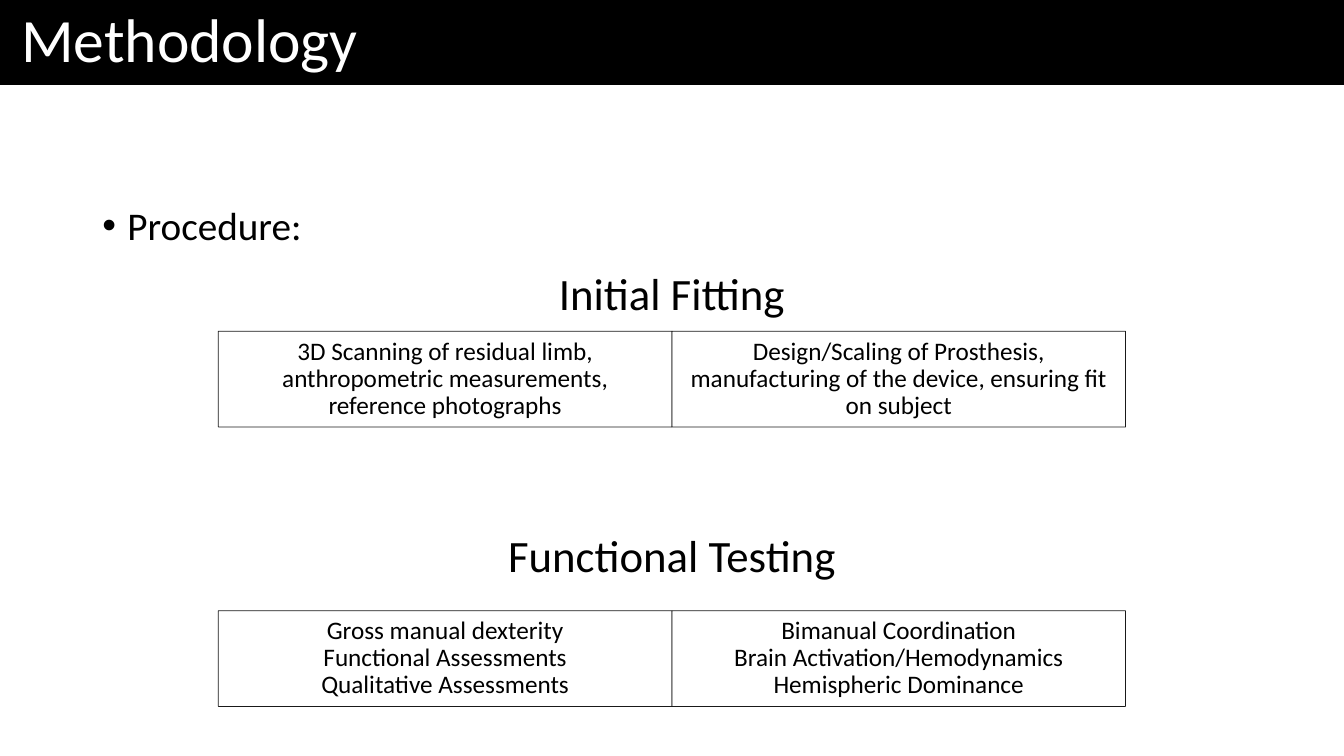
from lxml.etree import SubElement
from pptx import Presentation
from pptx.dml.color import RGBColor
from pptx.enum.shapes import MSO_SHAPE as Preset
from pptx.enum.text import MSO_ANCHOR as Anchor, PP_ALIGN as Align
from pptx.oxml.ns import qn
from pptx.util import Pt

BLACK = RGBColor(0, 0, 0)
WHITE = RGBColor(255, 255, 255)
FONT = "Calibri"
SLIDE_WIDTH, SLIDE_HEIGHT = 960, 540
CARD_HEIGHT = 68.4


def add_box(slide, box, preset=Preset.RECTANGLE, fill=WHITE, line_width=None):
    shape = slide.shapes.add_shape(preset, *map(Pt, box))
    shape.shadow.inherit = False
    shape.fill.solid()
    shape.fill.fore_color.rgb = fill
    if line_width is None:
        shape.line.fill.background()
    else:
        shape.line.color.rgb = BLACK
        shape.line.width = Pt(line_width)
    return shape


def write_text(shape, lines, size, color=BLACK, align=Align.CENTER,
               anchor=Anchor.MIDDLE, insets=(7.2, 3.6)):
    frame = shape.text_frame
    frame.word_wrap = True
    frame.vertical_anchor = anchor
    frame.margin_left = frame.margin_right = Pt(insets[0])
    frame.margin_top = frame.margin_bottom = Pt(insets[1])
    paragraph = frame.paragraphs[0]
    paragraph.alignment = align
    paragraph.line_spacing = 0.9
    for index, line in enumerate(lines):
        if index:
            paragraph.add_line_break()
        run = paragraph.add_run()
        run.text = line
        run.font.name = FONT
        run.font.size = Pt(size)
        run.font.color.rgb = color
    return paragraph


def add_header(slide, box, title):
    left, top, width, height = box
    add_box(slide, box, fill=BLACK, line_width=1)
    title_box = slide.shapes.add_textbox(Pt(left + 8), Pt(top + 0.7), Pt(604), Pt(height - 0.7))
    write_text(title_box, [title], 44, WHITE, Align.LEFT)


def add_body(slide, box, text):
    body = slide.shapes.add_textbox(*map(Pt, box))
    paragraph = write_text(body, [text], 28, align=Align.LEFT, anchor=Anchor.TOP)
    paragraph.space_before = Pt(10)
    properties = paragraph._p.get_or_add_pPr()
    properties.set("marL", str(Pt(18)))
    properties.set("indent", str(-Pt(18)))
    SubElement(properties, qn("a:buFont"), typeface="Arial")
    SubElement(properties, qn("a:buChar"), char="•")


def add_card(slide, box, lines):
    card = add_box(slide, box, line_width=0.5)
    for color in card._element.spPr.iter(qn("a:srgbClr")):
        SubElement(color, qn("a:alpha"), val="90000")
    write_text(card, lines, 18, insets=(10, 2.2))


def add_stage(slide, box, preset, heading, heading_height, card_offset, cards):
    left, top, width, height = box
    panel = add_box(slide, box, preset)
    if preset == Preset.UP_ARROW_CALLOUT:
        panel.rotation = 180
    heading_box = slide.shapes.add_textbox(Pt(left), Pt(top), Pt(width), Pt(heading_height))
    write_text(heading_box, [heading], 32, insets=(18, 18))
    card_width = width / len(cards)
    for column, lines in enumerate(cards):
        card_left = left + column * card_width
        add_card(slide, (card_left, top + card_offset, card_width, CARD_HEIGHT), lines)


def main():
    presentation = Presentation()
    presentation.slide_width = Pt(SLIDE_WIDTH)
    presentation.slide_height = Pt(SLIDE_HEIGHT)
    slide = presentation.slides.add_slide(presentation.slide_layouts[6])
    add_header(slide, (0, 0, SLIDE_WIDTH, 60.5), "Methodology")
    add_body(slide, (66, 144, 828, 342.7), "Procedure:")
    add_stage(
        slide, (156, 358.6, 648, 148.3), Preset.RECTANGLE, "Functional Testing", 80, 77.6,
        [["Gross manual dexterity", "Functional Assessments", "Qualitative Assessments"],
         ["Bimanual Coordination", "Brain Activation/Hemodynamics", "Hemispheric Dominance"]])
    add_stage(
        slide, (156, 180, 648, 180.7), Preset.UP_ARROW_CALLOUT, "Initial Fitting", 63.4, 56.6,
        [["3D Scanning of residual limb, anthropometric measurements, reference photographs"],
         ["Design/Scaling of Prosthesis, manufacturing of the device, ensuring fit on subject"]])
    presentation.save("out.pptx")


if __name__ == "__main__":
    main()
